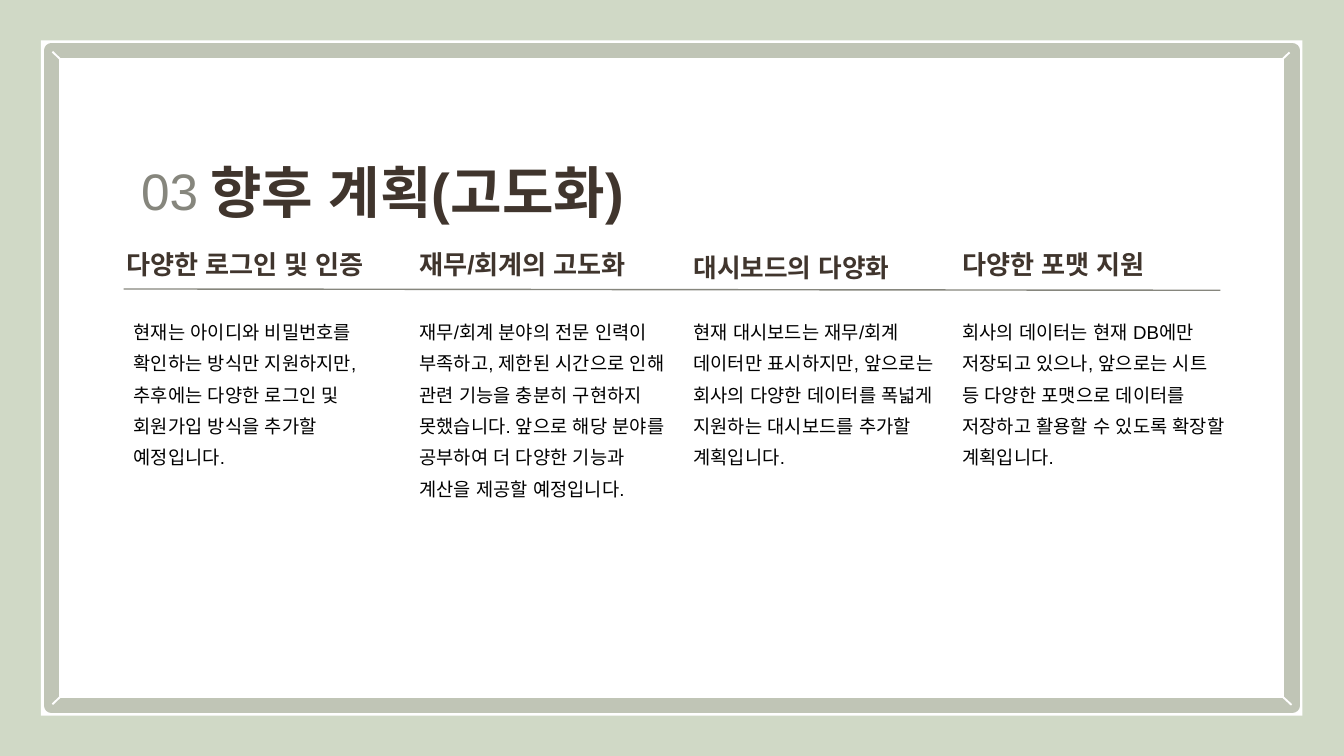
from dataclasses import dataclass

from pptx import Presentation
from pptx import util as u
from pptx.dml.color import RGBColor
from pptx.enum import shapes, text
from pptx.oxml.ns import qn
from lxml import etree


@dataclass(frozen=True)
class Theme:
    font: str = "Arial"
    background: str = "D0D9C6"
    paper: str = "FFFFFF"
    frame: str = "C0C5B6"
    heading: str = "40352D"
    body: str = "000000"
    accent: str = "86867D"
    title_size: float = 60
    number_size: float = 55
    heading_size: float = 28
    body_size: float = 20
    line_spacing: float = 1.4


class SlideBuilder:
    def __init__(self, slide, theme):
        self.s = slide
        self.theme = theme

    def background(self, color):
        fill = self.s.background.fill
        fill.solid()
        fill.fore_color.rgb = RGBColor.from_string(color)

    def panel(self, left, top, width, height, fill, line=None, weight=0):
        sp = self.s.shapes.add_shape(
            shapes.MSO_SHAPE.RECTANGLE,
            *(u.Inches(v) for v in (left, top, width, height)))
        sp.shadow.inherit = False
        sp.fill.solid()
        sp.fill.fore_color.rgb = RGBColor.from_string(fill)
        if line:
            sp.line.color.rgb = RGBColor.from_string(line)
            sp.line.width = u.Pt(weight)
        else:
            sp.line.fill.background()

    def line(self, start, end, color, weight):
        cn = self.s.shapes.add_connector(
            shapes.MSO_CONNECTOR.STRAIGHT,
            *(u.Inches(v) for v in (*start, *end)))
        cn.line.color.rgb = RGBColor.from_string(color)
        cn.line.width = u.Pt(weight)
        etree.SubElement(cn._element.spPr, qn("a:effectLst"))

    def text(self, left, top, width, height, content, size, color,
             bold=False, align=text.PP_ALIGN.LEFT):
        sp = self.s.shapes.add_textbox(
            *(u.Inches(v) for v in (left, top, width, height)))
        tf = sp.text_frame
        tf.word_wrap = True
        tf.auto_size = text.MSO_AUTO_SIZE.SHAPE_TO_FIT_TEXT
        tf.margin_left = tf.margin_right = tf.margin_top = tf.margin_bottom = 0
        p = tf.paragraphs[0]
        p.alignment = align
        p.line_spacing = self.theme.line_spacing
        r = p.add_run()
        r.text = content
        r.font.size = u.Pt(size)
        r.font.bold = bold
        r.font.color.rgb = RGBColor.from_string(color)
        r.font.name = self.theme.font
        # Korean glyphs take the East Asian font
        etree.SubElement(r.font._element, qn("a:ea"), typeface=self.theme.font)


# heading left, top, width, size; body left, width, height; wording
PLANS = [
    (1.88, 3.51, 3.95, 28, 1.99, 3.88, 2.22, "다양한 로그인 및 인증",
     "현재는 아이디와 비밀번호를 확인하는 방식만 지원하지만, "
     "추후에는 다양한 로그인 및 회원가입 방식을 추가할 예정입니다."),
    (6.24, 3.51, 3.39, 28, 6.24, 3.82, 2.69, "재무/회계의 고도화",
     "재무/회계 분야의 전문 인력이 부족하고, 제한된 시간으로 인해 "
     "관련 기능을 충분히 구현하지 못했습니다. 앞으로 해당 분야를 "
     "공부하여 더 다양한 기능과 계산을 제공할 예정입니다."),
    (10.32, 3.57, 4.12, 27.5, 10.32, 3.81, 2.22, "대시보드의 다양화",
     "현재 대시보드는 재무/회계 데이터만 표시하지만, 앞으로는 "
     "회사의 다양한 데이터를 폭넓게 지원하는 대시보드를 추가할 계획입니다."),
    (14.32, 3.51, 3.15, 28, 14.32, 3.92, 2.22, "다양한 포맷 지원",
     "회사의 데이터는 현재 DB에만 저장되고 있으나, 앞으로는 시트 등 "
     "다양한 포맷으로 데이터를 저장하고 활용할 수 있도록 확장할 계획입니다."),
]
BODY_TOP = 4.64

# Mitre lines at the frame corners
CORNERS = [
    ((0.78, 0.77), (1, 0.98)),
    ((18.98, 10.27), (19.22, 10.49)),
    ((0.78, 10.48), (0.99, 10.28)),
    ((18.99, 0.97), (19.19, 0.78)),
]


def main():
    prs = Presentation()
    prs.slide_width, prs.slide_height = u.Inches(20), u.Inches(11.25)
    theme = Theme()
    page = SlideBuilder(prs.slides.add_slide(prs.slide_layouts[6]), theme)

    # Picture-frame border
    page.background(theme.background)
    page.panel(0.61, 0.6, 18.77, 10.05, theme.paper)
    page.panel(0.77, 0.75, 18.46, 9.75, theme.paper, theme.frame, 16.5)
    for start, end in CORNERS:
        page.line(start, end, theme.paper, 2)

    # Title and section number
    page.text(3.13, 1.95, 7.76, 1.01, "향후 계획(고도화)",
              theme.title_size, theme.heading, bold=True)
    page.text(1.99, 2.01, 1.07, 0.93, "03", theme.number_size, theme.accent,
              align=text.PP_ALIGN.CENTER)

    # Four plan columns
    for left, top, width, size, body_left, body_w, body_h, head, body in PLANS:
        page.text(left, top, width, 0.47, head, size, theme.heading, bold=True)
        page.text(body_left, BODY_TOP, body_w, body_h, body,
                  theme.body_size, theme.body)

    # Rule under the headings
    page.line((1.84, 4.3), (18.16, 4.32), theme.accent, 1.5)

    prs.save("out.pptx")


if __name__ == "__main__":
    main()
